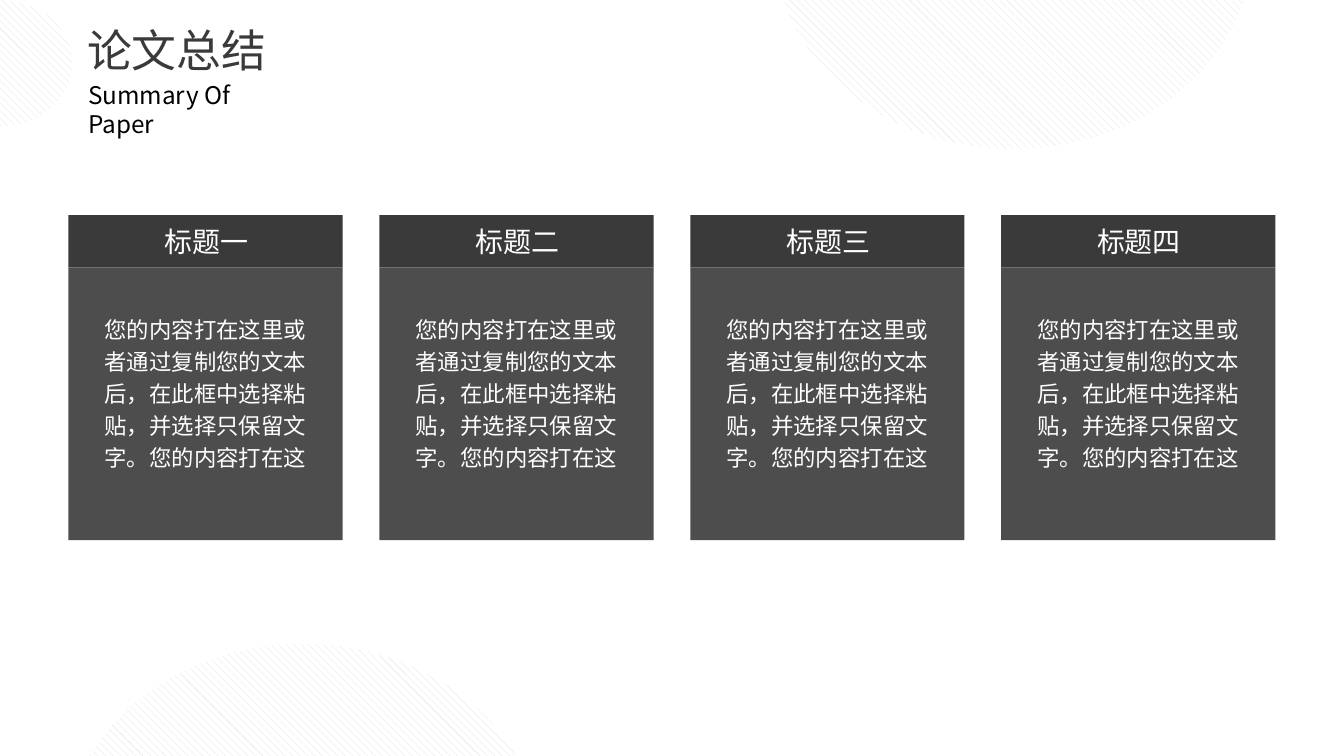
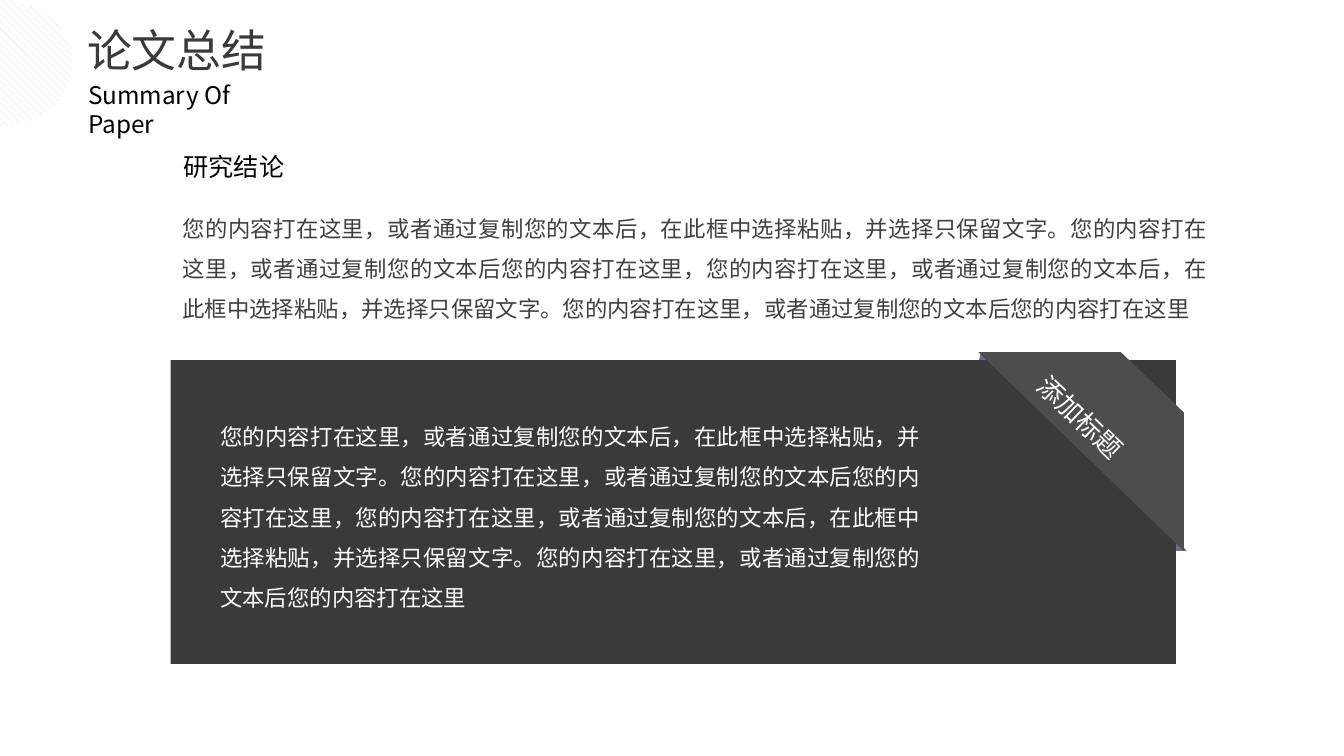
import pptx
import pptx.dml.color
import pptx.enum.dml
import pptx.enum.shapes
import pptx.enum.text
import pptx.oxml.ns
import pptx.util
import lxml.etree

Inches = pptx.util.Inches
Color = pptx.dml.color.RGBColor
Align = pptx.enum.text.PP_ALIGN
Shape = pptx.enum.shapes.MSO_SHAPE
qn = pptx.oxml.ns.qn

# Content
TITLE = "论文总结"
SUBTITLE = "Summary Of Paper"
CARD_HEADINGS = ["标题一", "标题二", "标题三", "标题四"]
CARD_BODY = "您的内容打在这里或者通过复制您的文本后，在此框中选择粘贴，并选择只保留文字。您的内容打在这"
CONCLUSION_HEADING = "研究结论"
CONCLUSION = (
    "您的内容打在这里，或者通过复制您的文本后，在此框中选择粘贴，并选择只保留文字。"
    "您的内容打在这里，或者通过复制您的文本后您的内容打在这里，"
    "您的内容打在这里，或者通过复制您的文本后，在此框中选择粘贴，并选择只保留文字。"
    "您的内容打在这里，或者通过复制您的文本后您的内容打在这里"
)
RIBBON_LABEL = "添加标题"

# Shared style
FONT = "Noto Sans CJK SC"
WHITE = Color(0xFF, 0xFF, 0xFF)
BLACK = Color(0, 0, 0)
DARK = Color(0x3A, 0x3A, 0x3A)
GREY = Color(0x4D, 0x4D, 0x4D)
BODY_GREY = Color(0x40, 0x40, 0x40)
HATCH = Color(0xDD, 0xDD, 0xDD)
FOLD = Color(0x68, 0x6C, 0x86)

# Layout, in inches
SLIDE_WIDTH = 10
SLIDE_HEIGHT = SLIDE_WIDTH * 9 / 16
CARD_LEFT, LAST_CARD_LEFT, CARD_WIDTH = 0.51, 7.45, 2.04
CARD_PITCH = (LAST_CARD_LEFT - CARD_LEFT) / (len(CARD_HEADINGS) - 1)
CARD_TOP, HEADING_HEIGHT, BODY_HEIGHT = 1.6, 0.39, 2.03
LARGE_CIRCLES = [(5.76, -1.97), (0.47, 4.79)]
RIBBON = [(7.28, 2.62), (8.81, 4.1), (8.81, 3.07), (8.34, 2.62)]
RIBBON_FOLDS = [
    [(8.83, 4.1), (8.71, 4.1), (8.71, 3.96)],
    [(7.3, 2.62), (7.28, 2.7), (7.41, 2.7)],
]


def write(shape, text, size, color, align=None, spacing=None, wrap=True):
    frame = shape.text_frame
    frame.word_wrap = wrap
    frame.auto_size = pptx.enum.text.MSO_AUTO_SIZE.SHAPE_TO_FIT_TEXT
    frame.text = text
    paragraph = frame.paragraphs[0]
    paragraph.alignment = align
    paragraph.line_spacing = spacing
    font = paragraph.font
    font.size = pptx.util.Pt(size)
    font.color.rgb = color
    font.name = FONT
    # Chinese characters take the East Asian typeface
    defaults = paragraph._p.pPr.find(qn("a:defRPr"))
    lxml.etree.SubElement(defaults, qn("a:ea"), typeface=FONT)


def add_text(shapes, box, *args, **kwargs):
    write(shapes.add_textbox(*map(Inches, box)), *args, **kwargs)


def paint(shape, color):
    shape.shadow.inherit = False
    shape.fill.solid()
    shape.fill.fore_color.rgb = color
    shape.line.fill.background()
    return shape


def add_rect(shapes, box, color):
    return paint(shapes.add_shape(Shape.RECTANGLE, *map(Inches, box)), color)


def add_outline(shapes, points, color):
    start, *rest = [(Inches(x), Inches(y)) for x, y in points]
    builder = shapes.build_freeform(*start)
    builder.add_line_segments(rest, close=True)
    paint(builder.convert_to_shape(), color)


def add_hatched_circle(shapes, box):
    circle = shapes.add_shape(Shape.OVAL, *map(Inches, box))
    circle.shadow.inherit = False
    circle.fill.patterned()
    circle.fill.pattern = pptx.enum.dml.MSO_PATTERN.WIDE_DOWNWARD_DIAGONAL
    circle.fill.fore_color.rgb = HATCH
    circle.fill.back_color.rgb = WHITE
    circle.line.fill.background()


def add_group(slide):
    return slide.shapes.add_group_shape().shapes


def add_header(slide):
    header = add_group(slide)
    add_text(header, (0.55, 0.12, 2.33, 0.51), TITLE, 24, DARK)
    add_hatched_circle(header, (-0.55, 0, 1.09, 0.94))
    add_text(header, (0.56, 0.55, 1.77, 0.32), SUBTITLE, 13, BLACK)


def build_cards(slide):
    for i, heading in enumerate(CARD_HEADINGS):
        left = CARD_LEFT + i * CARD_PITCH
        card = add_group(slide)
        add_rect(card, (left, CARD_TOP, CARD_WIDTH, HEADING_HEIGHT), DARK)
        add_rect(card, (left, CARD_TOP + HEADING_HEIGHT, CARD_WIDTH, BODY_HEIGHT), GREY)
        add_text(card, (left + 0.34, 1.62, 1.37, 0.35), heading, 15, WHITE, Align.CENTER)
        add_text(card, (left + 0.17, 2.26, 1.72, 1.31), CARD_BODY, 12, WHITE, spacing=1.2)
    add_header(slide)
    for left, top in LARGE_CIRCLES:
        add_hatched_circle(slide.shapes, (left, top, 3.57, 3.08))


def build_conclusion(slide):
    # Conclusion text
    intro = add_group(slide)
    add_text(intro, (1.26, 1.45, 7.83, 1.31), CONCLUSION, 12, BODY_GREY, Align.JUSTIFY, 1.5)
    add_text(intro, (1.27, 1.08, 0.96, 0.33), CONCLUSION_HEADING, 13.5, BLACK, wrap=False)

    # Dark panel over the ribbon's folded ends
    panel = add_group(slide)
    for fold in RIBBON_FOLDS:
        add_outline(panel, fold, FOLD)
    add_rect(panel, (1.27, 2.68, 7.48, 2.26), DARK)
    add_text(panel, (1.54, 3, 5.41, 1.62), CONCLUSION, 12, WHITE, Align.JUSTIFY, 1.5)

    # Corner ribbon
    ribbon = add_group(slide)
    add_outline(ribbon, RIBBON, GREY)
    label = add_rect(ribbon, (7.55, 2.94, 0.99, 0.34), GREY)
    label.rotation = 44
    write(label, RIBBON_LABEL, 14, WHITE, Align.LEFT, wrap=False)
    add_header(slide)


def main():
    deck = pptx.Presentation()
    deck.slide_width, deck.slide_height = Inches(SLIDE_WIDTH), Inches(SLIDE_HEIGHT)
    blank = deck.slide_layouts[6]
    for build in (build_cards, build_conclusion):
        build(deck.slides.add_slide(blank))
    deck.save("out.pptx")


if __name__ == "__main__":
    main()
